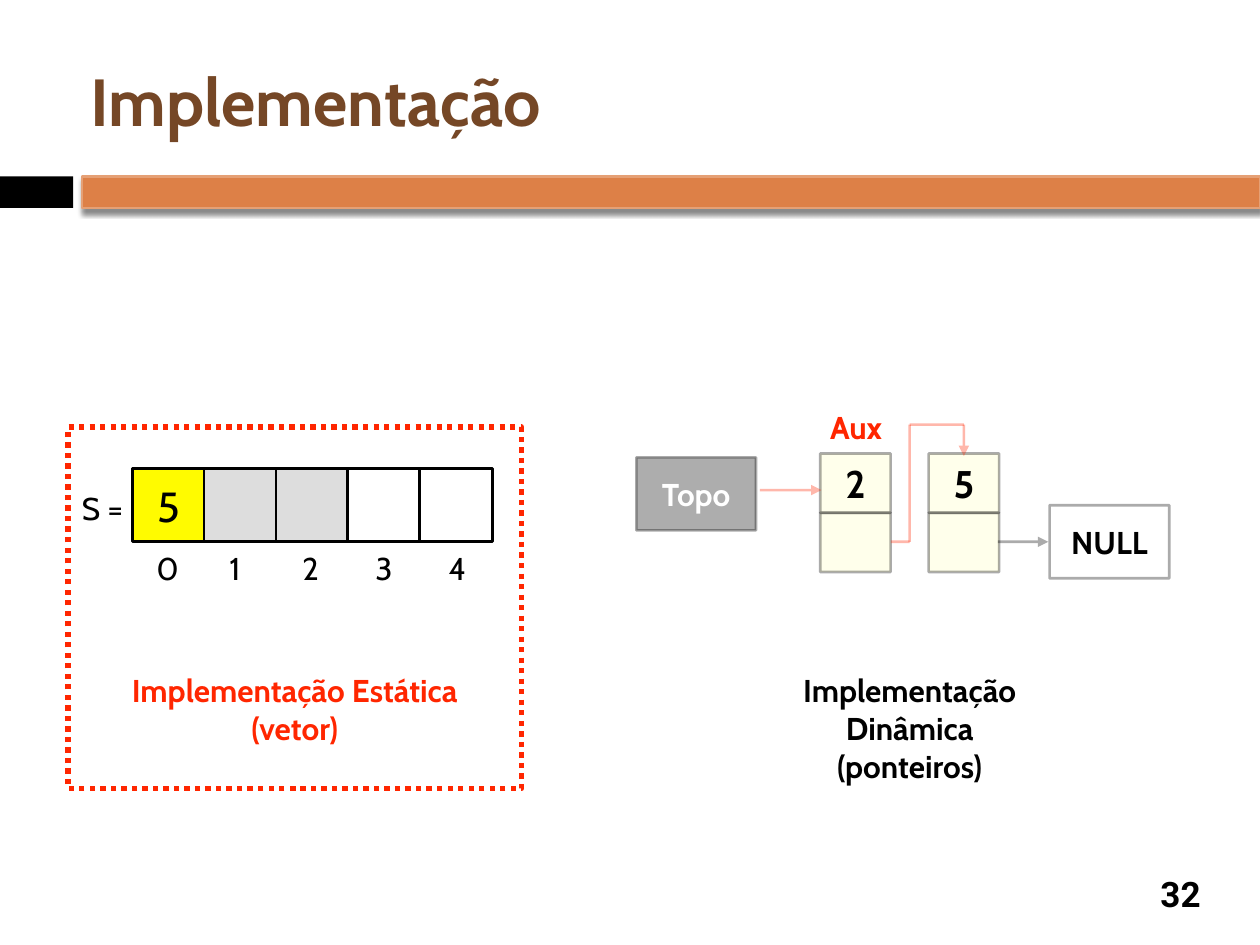
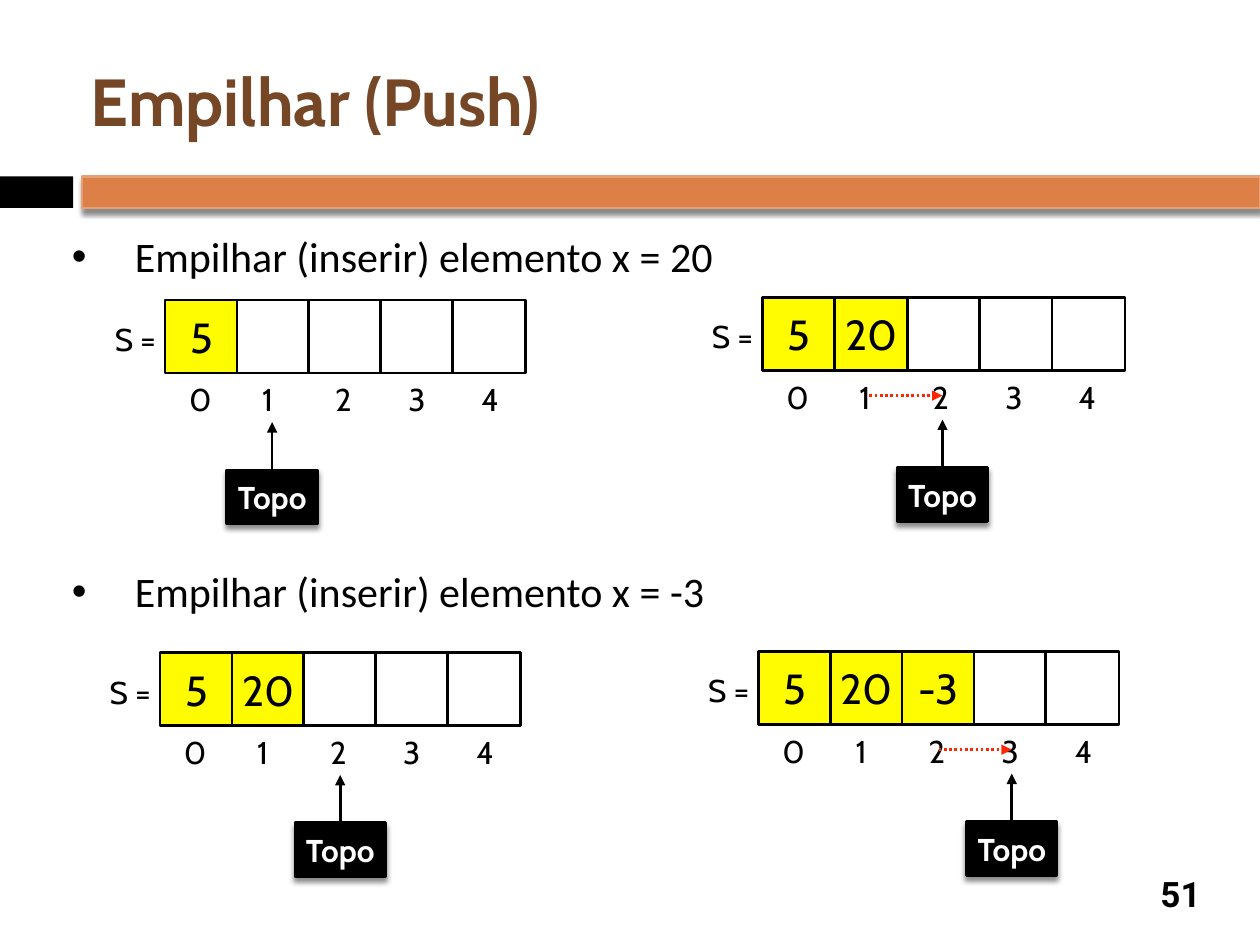
from dataclasses import dataclass
from itertools import pairwise

from lxml import etree
from pptx import Presentation
from pptx.dml.color import RGBColor
from pptx.enum.dml import MSO_LINE
from pptx.enum.shapes import MSO_CONNECTOR, MSO_SHAPE
from pptx.enum.text import MSO_ANCHOR, MSO_AUTO_SIZE, PP_ALIGN
from pptx.oxml.ns import qn
from pptx.util import Inches, Pt

RECT = MSO_SHAPE.RECTANGLE
STRAIGHT = MSO_CONNECTOR.STRAIGHT
DOTTED = MSO_LINE.ROUND_DOT
LEFT, CENTER = PP_ALIGN.LEFT, PP_ALIGN.CENTER
TOP, MIDDLE = MSO_ANCHOR.TOP, MSO_ANCHOR.MIDDLE
FIXED, GROW = MSO_AUTO_SIZE.NONE, MSO_AUTO_SIZE.SHAPE_TO_FIT_TEXT
TITLE_ONLY, TWO_CONTENT = 5, 3
COLUMNS, ROWS = 100, 75


@dataclass(frozen=True)
class Theme:
    """Colours, fonts and type sizes of the deck."""
    ink: str = "000000"
    paper: str = "FFFFFF"
    title: str = "754726"
    band: str = "DD8047"
    band_edge: str = "E5A075"
    accent: str = "FF2600"
    filled: str = "FFFB00"
    unused: str = "DDDDDD"
    node: str = "FFFFC2"
    font: str = "Cabin"
    list_font: str = "Calibri"
    number_font: str = "Roboto"
    title_size: int = 38
    value_size: int = 24
    node_size: int = 22
    number_size: int = 20
    label_size: int = 18
    stroke: float = 1.5
    faded: int = 32


THEME = Theme()


def add_element(parent, tag, **attributes):
    """Append a drawing element with the given attributes."""
    child = etree.SubElement(parent, qn(tag))
    for key, value in attributes.items():
        child.set(key, str(value))
    return child


def set_opacity(properties, percent):
    """Make the solid fill below these properties translucent."""
    if percent < 100:
        colour = properties.find(qn("a:solidFill"))[0]
        add_element(colour, "a:alpha", val=percent * 1000)


def write(frame, text, size=THEME.label_size, font=THEME.font, color=THEME.ink,
          bold=False, align=CENTER, anchor=TOP, wrap=True, fit=FIXED, bullet=None):
    """Fill a text frame with one paragraph per line of text."""
    frame.text = text
    frame.word_wrap = wrap
    frame.auto_size = fit
    frame.vertical_anchor = anchor
    frame.margin_left = frame.margin_right = Inches(0.05)
    frame.margin_top = frame.margin_bottom = Inches(0.05)
    for paragraph in frame.paragraphs:
        if bullet:
            properties = paragraph._p.get_or_add_pPr()
            properties.set("marL", str(Inches(0.5)))
            properties.set("indent", str(Inches(-0.5)))
            add_element(properties, "a:buChar", char=bullet)
        paragraph.alignment = align
        paragraph.space_before = Pt(0)
        paragraph.font.name = font
        paragraph.font.size = Pt(size)
        paragraph.font.bold = bold
        paragraph.font.color.rgb = RGBColor.from_string(color)


class Deck:
    """Draws styled elements on the current slide, placed by grid columns and rows."""

    def __init__(self, theme):
        self.theme = theme
        self.presentation = Presentation()
        self.presentation.slide_width = Inches(10)
        self.presentation.slide_height = Inches(7.5)
        self.slide = None

    def place(self, column, row):
        """Turn grid columns and rows into slide lengths."""
        return (round(column * self.presentation.slide_width / COLUMNS),
                round(row * self.presentation.slide_height / ROWS))

    def area(self, column, row, width, height):
        """Turn a grid area into left, top, width and height."""
        return *self.place(column, row), *self.place(width, height)

    def new_slide(self, layout, title, number):
        """Start a slide with its title and number."""
        theme = self.theme
        first = self.slide is None
        self.slide = self.presentation.slides.add_slide(
            self.presentation.slide_layouts[layout])
        if first:
            self.master_bands()
        self.placeholder(0, (6.7, 2.5, 89.2, 10.8), title, size=theme.title_size,
                         color=theme.title, bold=True, align=LEFT, anchor=MIDDLE)
        self.text((90.8, 68.9, 5.8, 4.1), number, size=theme.number_size,
                  font=theme.number_font, bold=True, anchor=MIDDLE)

    def master_bands(self):
        """Put the two bands under the title on the slide master."""
        theme = self.theme
        bands = (self.box((0, 14, 5.8, 2.5), theme.ink, line=None),
                 self.box((6.5, 14, 93.5, 2.5), theme.band, line=theme.band_edge,
                          shadow=True))
        for depth, band in enumerate(bands, start=2):
            self.presentation.slide_master.shapes.element.insert(depth, band.element)

    def placeholder(self, index, area, text, **style):
        """Move and fill a placeholder of the layout."""
        holder = self.slide.placeholders[index]
        holder.left, holder.top, holder.width, holder.height = self.area(*area)
        write(holder.text_frame, text, **style)

    def text(self, area, text, **style):
        """Add a text box."""
        frame = self.slide.shapes.add_textbox(*self.area(*area)).text_frame
        write(frame, text, **style)

    def outline(self, line, color, weight, dash, opacity):
        """Style a line or a border."""
        line.color.rgb = RGBColor.from_string(color)
        line.width = Pt(weight)
        if dash:
            line.dash_style = dash
        set_opacity(line._get_or_add_ln(), opacity)

    def box(self, area, fill, text="", line=THEME.ink, weight=THEME.stroke,
            dash=None, opacity=100, shadow=False, **style):
        """Add a rectangle, with centred text if there is any."""
        shape = self.slide.shapes.add_shape(RECT, *self.area(*area))
        properties = shape.element.spPr
        shape.shadow.inherit = False
        if shadow:
            cast = add_element(properties.find(qn("a:effectLst")), "a:outerShdw",
                               blurRad=Pt(3), dist=Pt(2.4), dir=90 * 60000, rotWithShape=0)
            shade = add_element(cast, "a:srgbClr", val=self.theme.ink)
            add_element(shade, "a:alpha", val=45000)
        if fill:
            shape.fill.solid()
            shape.fill.fore_color.rgb = RGBColor.from_string(fill)
            set_opacity(properties, opacity)
        else:
            shape.fill.background()
        if line:
            self.outline(shape.line, line, weight, dash, opacity)
        else:
            shape.line.fill.background()
        if text:
            write(shape.text_frame, text, anchor=MIDDLE, **style)
        return shape

    def link(self, start, end, color=THEME.ink, dash=None, opacity=100, arrow=True):
        """Add a straight line, with an arrowhead at its end if asked."""
        connector = self.slide.shapes.add_connector(
            STRAIGHT, *self.place(*start), *self.place(*end))
        self.outline(connector.line, color, self.theme.stroke, dash, opacity)
        if arrow:
            add_element(connector.line._get_or_add_ln(), "a:tailEnd", type="triangle")
        add_element(connector.element.spPr, "a:effectLst")

    def vector(self, column, row, values, fills, step=5.7):
        """Draw the array S with its cells and indices."""
        self.text((column - 4.7, row + 1.1, 4.7, 3.6), "S =", wrap=False, fit=GROW)
        for index, (value, fill) in enumerate(zip(values, fills)):
            self.box((column + index * step, row, 5.8, 5.8), fill, value,
                     size=self.theme.value_size)
            self.text((column + 1.4 + index * 5.8, row + 5.9, 2.5, 3.6), str(index),
                      align=LEFT, wrap=False, fit=GROW)

    def stack(self, column, row, items, top, step=5.7, moved=False):
        """Draw the array as a stack with its top marker."""
        theme = self.theme
        free = 5 - len(items)
        self.vector(column, row, items + [""] * free,
                    [theme.filled] * len(items) + [theme.paper] * free, step)
        center = column + 2.7 + top * 5.8
        self.link((center, row + 14.1), (center, row + 9.7))
        self.box((center - 3.6, row + 13.5, 7.2, 4.3), theme.ink, "Topo",
                 color=theme.paper, bold=True, shadow=True)
        if moved:
            self.link((center - 5.8, row + 7.8), (center, row + 7.8),
                      color=theme.accent, dash=DOTTED)

    def list_node(self, column, value):
        """Draw a linked node: its value above its pointer."""
        theme = self.theme
        for row, content in ((40.7, ""), (36, value)):
            self.box((column, row, 5.6, 4.7), theme.node, content,
                     size=theme.node_size, bold=True, opacity=theme.faded)


def implementation_slide(deck):
    """Compare the static and the dynamic implementation."""
    theme = deck.theme
    faded = {"opacity": theme.faded}
    deck.new_slide(TITLE_ONLY, "Implementação", "32")
    deck.vector(10.5, 37.2, ["5", "", "", "", ""],
                [theme.filled] + [theme.unused] * 2 + [theme.paper] * 2)

    deck.list_node(65.1, "2")
    deck.list_node(73.7, "5")
    deck.box((50.5, 36.3, 9.5, 5.8), theme.ink, "Topo", color=theme.paper,
             bold=True, **faded)
    deck.box((83.3, 40.1, 9.5, 5.8), theme.paper, "NULL", bold=True, **faded)
    deck.link((79.2, 43), (83.2, 43), **faded)
    deck.link((60.3, 38.9), (65.2, 38.9), color=theme.accent, **faded)
    route = [(70.7, 43), (72.2, 43), (72.2, 33.7), (76.5, 33.7), (76.5, 36.2)]
    for start, end in pairwise(route):
        deck.link(start, end, color=theme.accent, arrow=end == route[-1], **faded)
    deck.text((65.2, 31.9, 5.5, 3.6), "Aux", color=theme.accent, bold=True,
              wrap=False, fit=GROW)

    captions = ((9.1, "Implementação Estática\n(vetor)", theme.accent),
                (57.9, "Implementação Dinâmica\n(ponteiros)", theme.ink))
    for column, caption, color in captions:
        deck.text((column, 52.8, 28.6, 6.3), caption, color=color, bold=True, fit=GROW)
    deck.box((5.4, 33.9, 36, 28.7), None, line=theme.accent, weight=3, dash=DOTTED)


def push_slide(deck):
    """Show two pushes, each before and after."""
    theme = deck.theme
    deck.new_slide(TWO_CONTENT, "Empilhar (Push)", "51")
    pushes = ((1, 17.8, "Empilhar (inserir) elemento x = 20"),
              (2, 44.4, "Empilhar (inserir) elemento x = -3"))
    for index, row, push in pushes:
        deck.placeholder(index, (5.2, row, 81.8, 6.9), push, size=theme.value_size,
                         font=theme.list_font, align=LEFT, bullet="•")
    deck.stack(13.1, 23.8, ["5"], top=1)
    deck.stack(60.5, 23.6, ["5", "20"], top=2, step=5.75, moved=True)
    deck.stack(12.7, 51.8, ["5", "20"], top=2)
    deck.stack(60.2, 51.7, ["5", "20", "-3"], top=3, moved=True)


def main():
    """Build and save the deck."""
    deck = Deck(THEME)
    implementation_slide(deck)
    push_slide(deck)
    deck.presentation.save("out.pptx")


if __name__ == "__main__":
    main()
